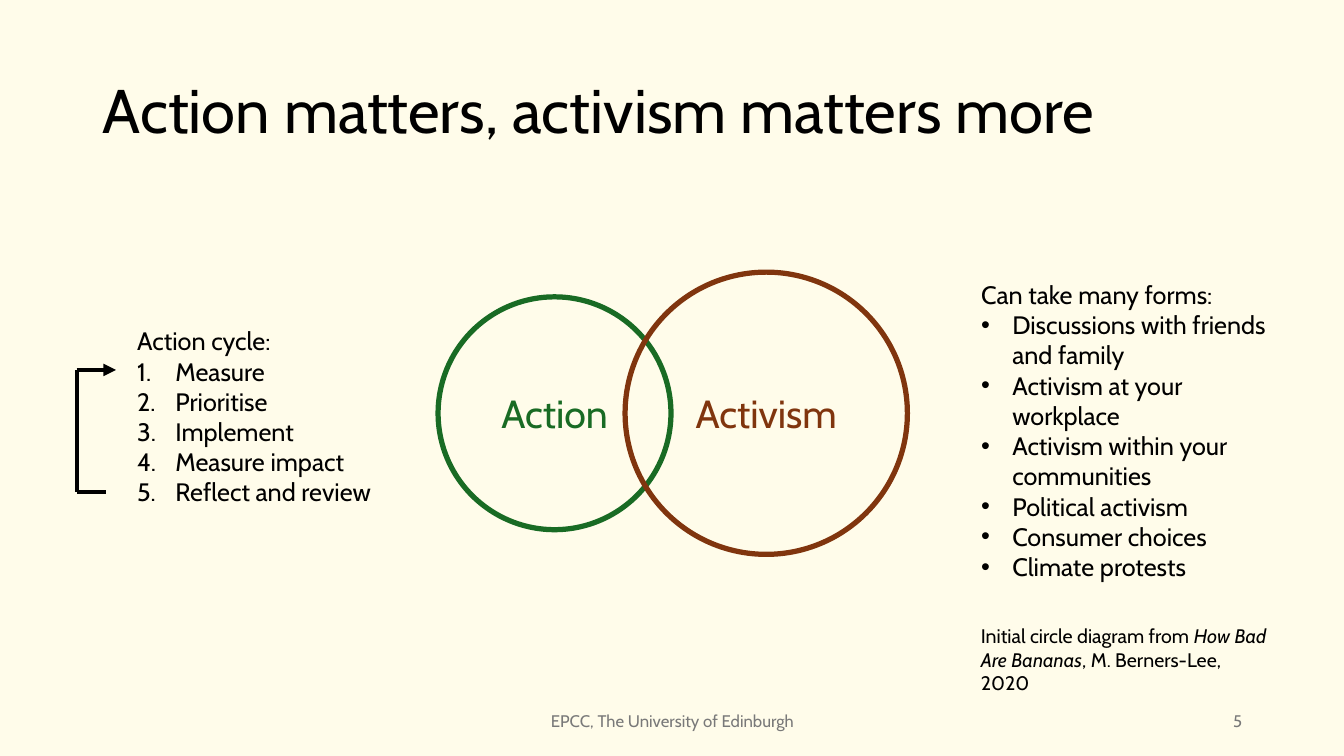
from pptx import Presentation
from pptx.util import Inches, Pt
from pptx.dml.color import RGBColor
from pptx.enum.shapes import MSO_SHAPE as Shape, MSO_CONNECTOR as Conn
from pptx.enum.text import PP_ALIGN as Al, MSO_ANCHOR as Anc, MSO_AUTO_SIZE as Fit
from pptx.oxml.ns import qn
from lxml.etree import SubElement as Sub

WIDE, HIGH = 13.33, 7.5
FONT = "Cabin"
BLACK, GREY, GREEN, BROWN, CREAM = "000000", "797979", "196B24", "80350E", "FFFCEA"

TITLE = "Action matters, activism matters more"
CYCLE = ["Action cycle:", "Measure", "Prioritise", "Implement",
         "Measure impact", "Reflect and review"]
FORMS = ["Can take many forms:", "Discussions with friends and family",
         "Activism at your workplace", "Activism within your communities",
         "Political activism", "Consumer choices", "Climate protests"]
CREDIT = [("Initial circle diagram from ", False), ("How Bad Are Bananas", True),
          (", M. Berners-Lee, 2020", False)]
FOOT, PAGE = "EPCC, The University of Edinburgh", "5"

MID = 4.1
CIRCLES = [("Action", GREEN, 5.5, 2.31, 5.5, 1.29),
           ("Activism", BROWN, 7.6, 2.8, 7.6, 1.66)]
LABEL = 0.57
SIDE = 3.08
CYCLE_X, FORMS_X = 1.26, 9.63
LOOP_X, LOOP_TOP, LOOP_END = 0.76, 3.67, 4.88
LOOP = [((LOOP_X, LOOP_TOP), (1.15, LOOP_TOP), True),
        ((LOOP_X, LOOP_TOP), (LOOP_X, LOOP_END), False),
        ((LOOP_X, LOOP_END), (1.05, LOOP_END), False)]


def tint(code):
    """Turn a hex string into a colour."""
    return RGBColor.from_string(code)


def mark(para, kind, hang):
    """Give a paragraph a bullet, a number or no marker."""
    props = para._p.get_or_add_pPr()
    props.set("marL", str(Inches(hang)))
    props.set("indent", str(-Inches(hang)))
    if kind == "dot":
        Sub(props, qn("a:buFont")).set("typeface", "Arial")
        Sub(props, qn("a:buChar")).set("char", "•")
    elif kind == "num":
        Sub(props, qn("a:buFont")).set("typeface", "+mj-lt")
        Sub(props, qn("a:buAutoNum")).set("type", "arabicPeriod")
    else:
        Sub(props, qn("a:buNone"))


def write(box, at, paras, size, code=BLACK, align=Al.LEFT, anchor=Anc.TOP,
          wrap=True, fit=Fit.NONE, space=1.0, kind=None, hang=0):
    """Place a text shape and fill it; markers start at the second paragraph."""
    box.left, box.top, box.width, box.height = map(Inches, at)
    frame = box.text_frame
    frame.word_wrap, frame.auto_size, frame.vertical_anchor = wrap, fit, anchor
    for i, runs in enumerate(paras):
        para = frame.add_paragraph() if i else frame.paragraphs[0]
        para.alignment, para.line_spacing = align, space
        para.space_before = para.space_after = Pt(0)
        mark(para, kind if i else None, hang if i else 0)
        for text, slant in [(runs, False)] if isinstance(runs, str) else runs:
            run = para.add_run()
            run.text = text
            font = run.font
            font.name, font.size, font.italic = FONT, Pt(size), slant
            font.color.rgb = tint(code)


def ring(slide, x, size, code):
    """Draw an open circle centred on the middle line."""
    disc = slide.shapes.add_shape(Shape.OVAL, Inches(x - size / 2),
                                  Inches(MID - size / 2), Inches(size), Inches(size))
    disc.shadow.inherit = False
    disc.fill.background()
    disc.line.color.rgb, disc.line.width = tint(code), Pt(3.75)


def link(slide, start, end, arrow):
    """Draw one stroke of the loop."""
    line = slide.shapes.add_connector(Conn.STRAIGHT, *map(Inches, start + end))
    line.line.color.rgb, line.line.width = tint(BLACK), Pt(3)
    if arrow:
        Sub(line.line._get_or_add_ln(), qn("a:tailEnd")).set("type", "triangle")
    Sub(line._element.spPr, qn("a:effectLst"))


def main():
    """Build and save the slide."""
    deck = Presentation()
    deck.slide_width, deck.slide_height = Inches(WIDE), Inches(HIGH)
    slide = deck.slides.add_slide(deck.slide_layouts[3])
    slide.background.fill.solid()
    slide.background.fill.fore_color.rgb = tint(CREAM)
    title, cycle, forms = list(slide.placeholders)[:3]

    def blank():
        """Add an empty text box."""
        return slide.shapes.add_textbox(0, 0, 0, 0)

    write(title, (0.92, 0.4, 11.5, 1.45), [TITLE], 44, anchor=Anc.MIDDLE, space=0.9)
    write(cycle, (CYCLE_X, 3.18, SIDE, 1.92), CYCLE, 18, kind="num", hang=0.38)
    write(forms, (FORMS_X, 2.72, SIDE, 3.13), FORMS, 18, kind="dot", hang=0.31)
    for name, code, x, size, mid, width in CIRCLES:
        ring(slide, x, size, code)
    for name, code, x, size, mid, width in CIRCLES:
        write(blank(), (mid - width / 2, MID - LABEL / 2, width, LABEL), [name], 28,
              code, Al.CENTER, wrap=False, fit=Fit.SHAPE_TO_FIT_TEXT)
    for start, end, arrow in LOOP:
        link(slide, start, end, arrow)
    write(blank(), (FORMS_X, 6.14, SIDE, 0.81), [CREDIT], 14, fit=Fit.SHAPE_TO_FIT_TEXT)
    write(blank(), (4.42, 6.95, 4.5, 0.4), [FOOT], 12, GREY, Al.CENTER, Anc.MIDDLE)
    write(blank(), (9.42, 6.95, 3, 0.4), [PAGE], 12, GREY, Al.RIGHT, Anc.MIDDLE)
    deck.save("out.pptx")


if __name__ == "__main__":
    main()
